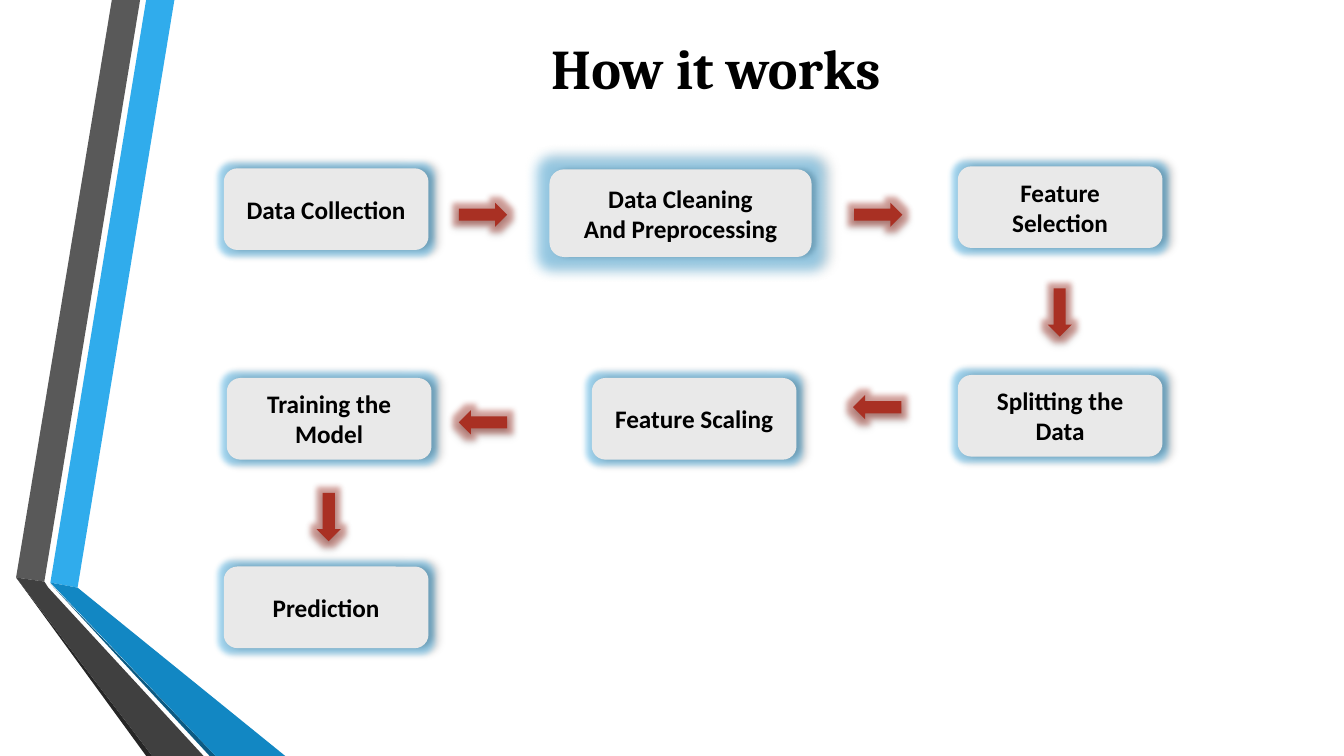
from dataclasses import dataclass

from lxml import etree
from pptx import Presentation
from pptx.dml.color import RGBColor
from pptx.enum.shapes import MSO_SHAPE
from pptx.enum.text import MSO_ANCHOR, PP_ALIGN
from pptx.oxml.ns import qn
from pptx.util import Inches, Pt

ROUNDED = MSO_SHAPE.ROUNDED_RECTANGLE
ARROW = MSO_SHAPE.RIGHT_ARROW
MIDDLE = MSO_ANCHOR.MIDDLE
CENTER = PP_ALIGN.CENTER
RIGHT, DOWN, LEFT = 0, 90, 180


@dataclass(frozen=True)
class Theme:
    title_font: str = "Cambria"
    body_font: str = "Calibri"
    title_size: int = 40
    body_size: int = 18
    text: str = "000000"
    box: str = "E9E9E9"
    box_glow: str = "30ACEC"
    arrow: str = "A93023"
    blue: str = "30ACEC"
    blue_mid: str = "1287C3"
    blue_dark: str = "0C5A82"
    gray: str = "595959"
    gray_mid: str = "404040"
    gray_dark: str = "262626"


class FlowSlide:
    """Draws the elements of the flow on one slide."""

    def __init__(self, slide, theme):
        self.s = slide
        self.theme = theme

    def paint(self, sp, color):
        sp.shadow.inherit = False
        sp.fill.solid()
        sp.fill.fore_color.rgb = RGBColor.from_string(color)
        sp.line.fill.background()

    def effects(self, sp, glow, radius, shadow):
        """Add a glow and a black shadow: (opacity %, blur, distance, angle)."""
        opacity, blur, dist, angle = shadow
        lst = sp._element.spPr.find(qn("a:effectLst"))
        el = etree.SubElement(lst, qn("a:glow"), rad=str(Pt(radius)))
        clr = etree.SubElement(el, qn("a:srgbClr"), val=glow)
        etree.SubElement(clr, qn("a:alpha"), val="40000")
        el = etree.SubElement(lst, qn("a:outerShdw"), blurRad=str(Pt(blur)),
                              dist=str(Pt(dist)), dir=str(angle * 60000),
                              rotWithShape="0")
        clr = etree.SubElement(el, qn("a:srgbClr"), val="000000")
        etree.SubElement(clr, qn("a:alpha"), val=str(opacity * 1000))

    def add_text(self, sp, lines, font, size):
        tf = sp.text_frame
        tf.word_wrap = True
        tf.vertical_anchor = MIDDLE
        for i, line in enumerate(lines):
            p = tf.add_paragraph() if i else tf.paragraphs[0]
            p.alignment = CENTER
            r = p.add_run()
            r.text = line
            r.font.name = font
            r.font.size = Pt(size)
            r.font.bold = True
            r.font.color.rgb = RGBColor.from_string(self.theme.text)

    def band(self, color, points):
        points = [(Inches(x), Inches(y)) for x, y in points]
        fb = self.s.shapes.build_freeform(*points[0], scale=1.0)
        fb.add_line_segments(points[1:], close=True)
        self.paint(fb.convert_to_shape(), color)

    def title(self, text, x, y, w, h):
        sp = self.s.shapes.add_textbox(Inches(x), Inches(y), Inches(w), Inches(h))
        self.add_text(sp, [text], self.theme.title_font, self.theme.title_size)

    def box(self, lines, x, y, w=2.03, h=0.81, glow=8):
        sp = self.s.shapes.add_shape(ROUNDED, Inches(x), Inches(y),
                                     Inches(w), Inches(h))
        self.paint(sp, self.theme.box)
        self.effects(sp, self.theme.box_glow, glow, (40, 4, 3, 0))
        self.add_text(sp, lines, self.theme.body_font, self.theme.body_size)

    def arrow(self, x, y, angle):
        sp = self.s.shapes.add_shape(ARROW, Inches(x), Inches(y),
                                     Inches(0.48), Inches(0.24))
        sp.rotation = angle
        self.paint(sp, self.theme.arrow)
        self.effects(sp, self.theme.arrow, 8, (32, 3.5, 2.2, 90))


def main():
    prs = Presentation()
    prs.slide_width, prs.slide_height = Inches(13.33), Inches(7.5)
    theme = Theme()
    flow = FlowSlide(prs.slides.add_slide(prs.slide_layouts[6]), theme)

    # Folded ribbons on the left edge
    flow.band(theme.blue, [(0.5, 5.78), (0.77, 5.83), (1.73, 0), (1.45, 0)])
    flow.band(theme.gray, [(1.39, 0), (1.11, 0), (0.16, 5.73), (0.44, 5.77)])
    flow.band(theme.gray_dark, [(0.16, 5.73), (1.45, 7.5), (1.51, 7.5)])
    flow.band(theme.blue_dark, [(0.5, 5.79), (2.08, 7.5), (2.14, 7.5)])
    flow.band(theme.blue_mid, [(0.5, 5.78), (2.14, 7.5), (2.83, 7.5), (0.77, 5.83)])
    flow.band(theme.gray_mid, [(2.02, 7.5), (0.48, 5.83), (0.44, 5.77),
                               (0.16, 5.73), (1.51, 7.5)])

    # Heading
    flow.title("How it works", 1.62, 0.26, 10.96, 0.81)

    # Steps
    flow.box(["Data Collection"], 2.22, 1.67)
    flow.box(["Data Cleaning", "And Preprocessing"], 5.45, 1.68, 2.6, 0.87, glow=18)
    flow.box(["Feature Selection"], 9.5, 1.65)
    flow.box(["Splitting the Data"], 9.5, 3.72)
    flow.box(["Feature Scaling"], 5.87, 3.75)
    flow.box(["Training the Model"], 2.25, 3.75)
    flow.box(["Prediction"], 2.22, 5.62)

    # Arrows between the steps
    for x, y, angle in [(4.55, 2.01, RIGHT), (8.47, 2.01, RIGHT),
                        (10.27, 2.98, DOWN), (8.46, 3.92, LEFT),
                        (4.55, 4.07, LEFT), (3.02, 5.01, DOWN)]:
        flow.arrow(x, y, angle)

    prs.save("out.pptx")


if __name__ == "__main__":
    main()
